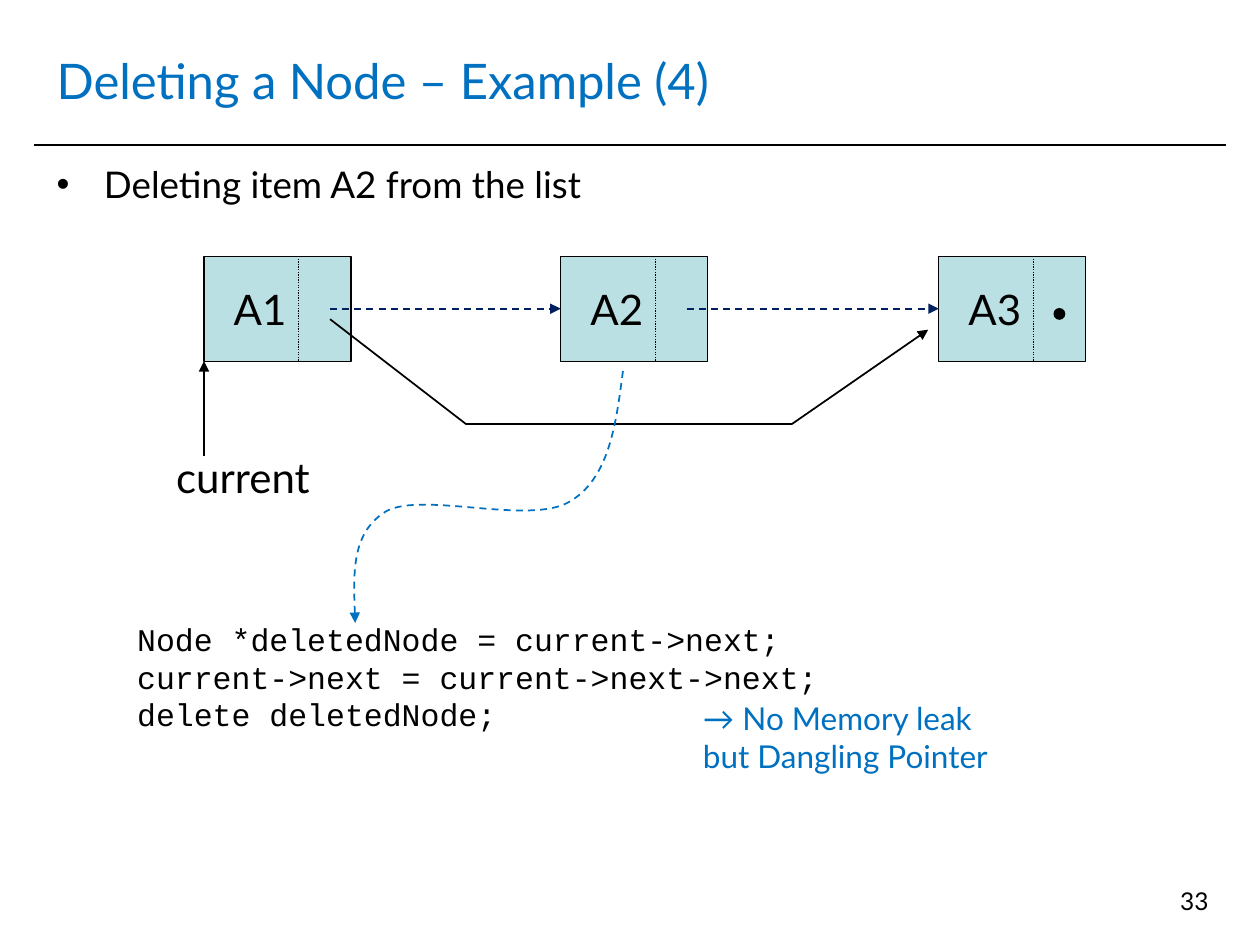
from pptx import Presentation
from pptx.dml.color import RGBColor
from pptx.enum.dml import MSO_LINE
from pptx.enum.shapes import MSO_CONNECTOR, MSO_SHAPE
from pptx.enum.text import MSO_ANCHOR, MSO_AUTO_SIZE, PP_ALIGN
from pptx.oxml.ns import qn
from pptx.util import Pt
from lxml.etree import SubElement

BLACK = RGBColor(0x00, 0x00, 0x00)
BLUE = RGBColor(0x00, 0x70, 0xC0)
NAVY = RGBColor(0x00, 0x20, 0x60)
TEAL = RGBColor(0xBB, 0xE0, 0xE3)

# Content
TITLE = "Deleting a Node – Example (4)"
BULLET = "Deleting item A2 from the list"
NODES = [("A1", 116.6), ("A2", 320.4), ("A3", 536.4)]  # label, left
CODE = [
    "Node *deletedNode = current->next;",
    "current->next = current->next->next;",
    "delete deletedNode;",
]
NOTE = "→ No Memory leak but Dangling Pointer"
PAGE = "33"

# Geometry in points
NODE_TOP, NODE_W, NODE_H = 146.4, 84, 60
NODE_BOTTOM, NODE_MID = NODE_TOP + NODE_H, NODE_TOP + NODE_H / 2
DIVIDER, LINK = 54, 72  # offsets from a node's left edge
DOT = 6
BYPASS = [(188.6, 182.4), (266.4, 242.4), (452.4, 242.4), (530.4, 188.4)]
# Start point, then two control points and an end point per curve
DELETED = [(356.4, 211.7), (352.1, 242.6), (347.8, 273.6), (324.7, 287.3),
           (302.4, 300.2), (241.9, 280.8), (221, 292.3),
           (200.9, 303.8), (201.6, 330.5), (203, 356.4)]

prs = Presentation()
prs.slide_width, prs.slide_height = Pt(720), Pt(540)
s = prs.slides.add_slide(prs.slide_layouts[1])


def write(sp, lines, size=18, font="Lato", color=BLACK, align=PP_ALIGN.LEFT,
          anchor=MSO_ANCHOR.TOP, wrap=True, bullet=None):
    tf = sp.text_frame
    tf.auto_size = MSO_AUTO_SIZE.NONE
    tf.word_wrap, tf.vertical_anchor = wrap, anchor
    for i, text in enumerate(lines):
        p = tf.paragraphs[0] if i == 0 else tf.add_paragraph()
        p.alignment, p.space_before = align, Pt(0)
        if bullet:
            pPr = p._p.get_or_add_pPr()
            pPr.set("marL", str(Pt(27)))
            pPr.set("indent", str(Pt(-27)))
            SubElement(pPr, qn("a:buChar"), char=bullet)
        r = p.add_run()
        r.text = text
        r.font.size, r.font.name, r.font.color.rgb = Pt(size), font, color


def place(sp, x, y, w, h):
    sp.left, sp.top, sp.width, sp.height = Pt(x), Pt(y), Pt(w), Pt(h)
    return sp


def text_box(x, y, w, h):
    return s.shapes.add_textbox(Pt(x), Pt(y), Pt(w), Pt(h))


def shape(kind, x, y, w, h, fill):
    sp = s.shapes.add_shape(kind, Pt(x), Pt(y), Pt(w), Pt(h))
    sp.shadow.inherit = False
    sp.fill.solid()
    sp.fill.fore_color.rgb = fill
    sp.line.color.rgb, sp.line.width = BLACK, Pt(0.75)
    return sp


def style_line(sp, color, width, dash, arrow):
    sp.line.color.rgb, sp.line.width = color, Pt(width)
    if dash:
        sp.line.dash_style = dash
    if arrow:
        SubElement(sp.line._get_or_add_ln(), qn("a:tailEnd"), type="triangle")


def line(start, end, color=BLACK, width=1, dash=None, arrow=False):
    c = s.shapes.add_connector(MSO_CONNECTOR.STRAIGHT, *map(Pt, start + end))
    style_line(c, color, width, dash, arrow)
    SubElement(c._element.spPr, qn("a:effectLst"))


def curve(points, color):
    builder = s.shapes.build_freeform(*points[0], scale=Pt(1))
    builder.add_line_segments(points[1:], close=False)
    sp = builder.convert_to_shape()
    sp.shadow.inherit = False
    sp.fill.background()
    style_line(sp, color, 1, MSO_LINE.DASH, True)
    # Group each three straight segments into one Bezier segment
    outline = next(sp._element.iter(qn("a:moveTo"))).getparent()
    segments = outline.findall(qn("a:lnTo"))
    for i in range(0, len(segments), 3):
        bezier = SubElement(outline, qn("a:cubicBezTo"))
        for segment in segments[i:i + 3]:
            bezier.append(segment[0])
            outline.remove(segment)


# Heading, bullet and page number
line((19.4, 82.8), (700.6, 82.8))
write(place(s.shapes.title, 25.2, 15.1, 669, 61.2), [TITLE], size=28,
      color=BLUE, anchor=MSO_ANCHOR.MIDDLE)
write(place(s.placeholders[1], 25.2, 88.6, 669, 45.4), [BULLET], size=21,
      bullet="•")
write(text_box(530, 502.6, 167.8, 37.4), [PAGE], size=14,
      align=PP_ALIGN.RIGHT)

# Code
write(text_box(71.3, 350.6, 407.5, 72.7), CODE, font="Courier New")

# Nodes, each with a link cell on the right
for label, x in NODES:
    node = shape(MSO_SHAPE.RECTANGLE, x, NODE_TOP, NODE_W, NODE_H, TEAL)
    node.text_frame.margin_right = Pt(27)
    write(node, [label], size=24, align=PP_ALIGN.CENTER,
          anchor=MSO_ANCHOR.MIDDLE)
    line((x + DIVIDER, NODE_TOP), (x + DIVIDER, NODE_BOTTOM), width=0.75,
         dash=MSO_LINE.ROUND_DOT)

# Links between neighbours, and the null mark in the last node
for (_, x), (_, next_x) in zip(NODES, NODES[1:]):
    line((x + LINK, NODE_MID), (next_x, NODE_MID), color=NAVY,
         dash=MSO_LINE.DASH, arrow=True)
shape(MSO_SHAPE.OVAL, NODES[-1][1] + 66, NODE_MID, DOT, DOT, BLACK)

# Current pointer
write(text_box(93.6, 254.2, 90.7, 36), ["current"], size=24, wrap=False)
line((NODES[0][1], 260.6), (NODES[0][1], NODE_BOTTOM), arrow=True)

# New link around the deleted node
for start, end in zip(BYPASS, BYPASS[1:]):
    line(start, end, arrow=end == BYPASS[-1])

# Deleted node and its consequence
curve(DELETED, BLUE)
write(text_box(394.6, 396, 187.2, 51.1), [NOTE], color=BLUE)

prs.save("out.pptx")
